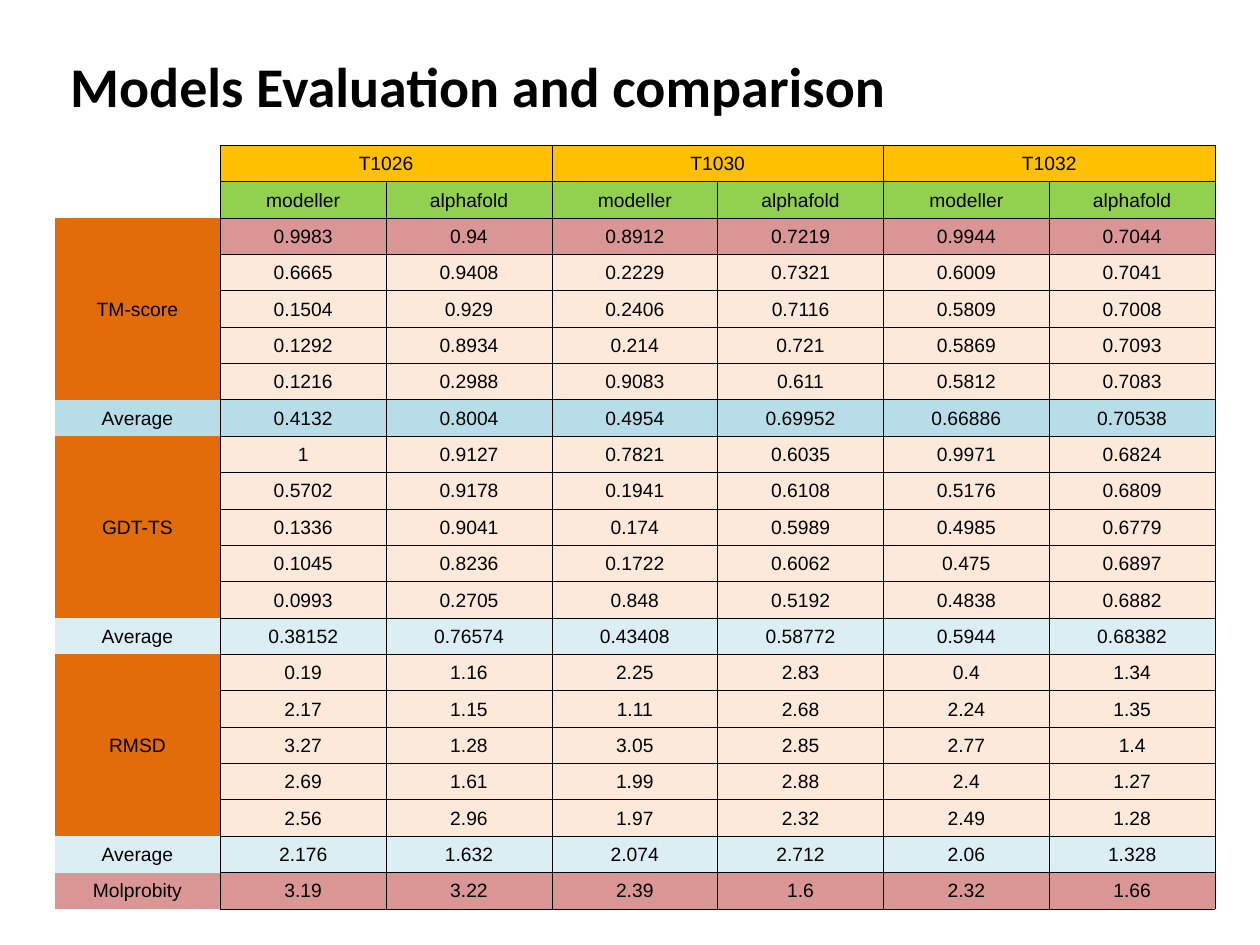
from lxml import etree
from pptx import Presentation
from pptx.dml.color import RGBColor
from pptx.enum.text import MSO_ANCHOR, PP_ALIGN
from pptx.oxml.ns import qn
from pptx.util import Cm, Pt

CENTER, LEFT = PP_ALIGN.CENTER, PP_ALIGN.LEFT
MIDDLE = MSO_ANCHOR.MIDDLE

COLORS = {
    "black": "000000",
    "target": "FFC000",
    "method": "92D050",
    "metric": "E26B0A",
    "score": "FDE9D9",
    "rose": "DA9694",
    "blue": "B7DEE8",
    "pale": "DAEEF3",
}

TITLE = "Models Evaluation and comparison"
TARGETS = ["T1026", "T1030", "T1032"]
METHODS = ["modeller", "alphafold"]

SECTIONS = [
    ("TM-score", "metric", [
        ("rose", "0.9983 0.94 0.8912 0.7219 0.9944 0.7044"),
        ("score", "0.6665 0.9408 0.2229 0.7321 0.6009 0.7041"),
        ("score", "0.1504 0.929 0.2406 0.7116 0.5809 0.7008"),
        ("score", "0.1292 0.8934 0.214 0.721 0.5869 0.7093"),
        ("score", "0.1216 0.2988 0.9083 0.611 0.5812 0.7083"),
    ]),
    ("Average", "blue", [("blue", "0.4132 0.8004 0.4954 0.69952 0.66886 0.70538")]),
    ("GDT-TS", "metric", [
        ("score", "1 0.9127 0.7821 0.6035 0.9971 0.6824"),
        ("score", "0.5702 0.9178 0.1941 0.6108 0.5176 0.6809"),
        ("score", "0.1336 0.9041 0.174 0.5989 0.4985 0.6779"),
        ("score", "0.1045 0.8236 0.1722 0.6062 0.475 0.6897"),
        ("score", "0.0993 0.2705 0.848 0.5192 0.4838 0.6882"),
    ]),
    ("Average", "pale", [("pale", "0.38152 0.76574 0.43408 0.58772 0.5944 0.68382")]),
    ("RMSD", "metric", [
        ("score", "0.19 1.16 2.25 2.83 0.4 1.34"),
        ("score", "2.17 1.15 1.11 2.68 2.24 1.35"),
        ("score", "3.27 1.28 3.05 2.85 2.77 1.4"),
        ("score", "2.69 1.61 1.99 2.88 2.4 1.27"),
        ("score", "2.56 2.96 1.97 2.32 2.49 1.28"),
    ]),
    ("Average", "pale", [("pale", "2.176 1.632 2.074 2.712 2.06 1.328")]),
    ("Molprobity", "rose", [("rose", "3.19 3.22 2.39 1.6 2.32 1.66")]),
]

HEADER_ROWS = 2
NO_STYLE = "{2D5ABB26-0587-4C30-8999-92F81FD0307C}"
LEFT_EDGE, TOP_EDGE = Cm(1.1), Cm(2.93)
TABLE_WIDTH, TABLE_HEIGHT = Cm(23.4), Cm(15.4)


def set_font(r, name, size, bold=False):
    r.font.name = name
    r.font.size = Pt(size)
    r.font.bold = bold
    r.font.color.rgb = RGBColor.from_string(COLORS["black"])


def add_borders(cell, sides):
    tcPr = cell._tc.get_or_add_tcPr()
    for side in "LRTB":
        ln = etree.SubElement(tcPr, qn(f"a:ln{side}"), w=str(Pt(0.5)))
        if side in sides:
            fill = etree.SubElement(ln, qn("a:solidFill"))
            etree.SubElement(fill, qn("a:srgbClr"), val=COLORS["black"])
        else:
            etree.SubElement(ln, qn("a:noFill"))


def prepare_cell(cell, sides):
    cell.margin_left = cell.margin_right = cell.margin_top = Cm(0.02)
    cell.margin_bottom = 0
    cell.vertical_anchor = MIDDLE
    add_borders(cell, sides)
    cell.fill.background()
    p = cell.text_frame.paragraphs[0]
    p.alignment = CENTER
    etree.SubElement(p._p, qn("a:endParaRPr"), sz="1100")


def fill_cell(cell, text, color):
    cell.fill.solid()
    cell.fill.fore_color.rgb = RGBColor.from_string(COLORS[color])
    r = cell.text_frame.paragraphs[0].add_run()
    r.text = text
    set_font(r, "Arial", 11)


def add_title(s):
    sp = s.shapes.title
    sp.left, sp.top, sp.width, sp.height = Cm(1.16), Cm(0.91), Cm(17.33), Cm(1.63)
    tf = sp.text_frame
    tf.text = TITLE
    tf.vertical_anchor = MIDDLE
    p = tf.paragraphs[0]
    p.alignment = LEFT
    set_font(p.runs[0], "Calibri", 32, True)


def add_scores(s):
    row_count = HEADER_ROWS + sum(len(rows) for _, _, rows in SECTIONS)
    col_count = 1 + len(TARGETS) * len(METHODS)
    table = s.shapes.add_table(
        row_count, col_count, LEFT_EDGE, TOP_EDGE, TABLE_WIDTH, TABLE_HEIGHT
    ).table
    table.first_row = table.horz_banding = False
    table._tbl.tblPr.find(qn("a:tableStyleId")).text = NO_STYLE
    for row in table.rows:
        for col, cell in enumerate(row.cells):
            prepare_cell(cell, "LRTB" if col else "R")

    for i, target in enumerate(TARGETS):
        first = 1 + i * len(METHODS)
        table.cell(0, first).merge(table.cell(0, first + len(METHODS) - 1))
        fill_cell(table.cell(0, first), target, "target")
        for col, method in enumerate(METHODS, first):
            fill_cell(table.cell(1, col), method, "method")

    top = HEADER_ROWS
    for label, label_color, rows in SECTIONS:
        if len(rows) > 1:
            table.cell(top, 0).merge(table.cell(top + len(rows) - 1, 0))
        fill_cell(table.cell(top, 0), label, label_color)
        for row, (color, values) in enumerate(rows, top):
            for col, value in enumerate(values.split(), 1):
                fill_cell(table.cell(row, col), value, color)
        top += len(rows)


def main():
    prs = Presentation()
    prs.slide_width, prs.slide_height = Cm(25.4), Cm(19.05)
    s = prs.slides.add_slide(prs.slide_layouts[5])
    add_scores(s)
    add_title(s)
    prs.save("out.pptx")


if __name__ == "__main__":
    main()
